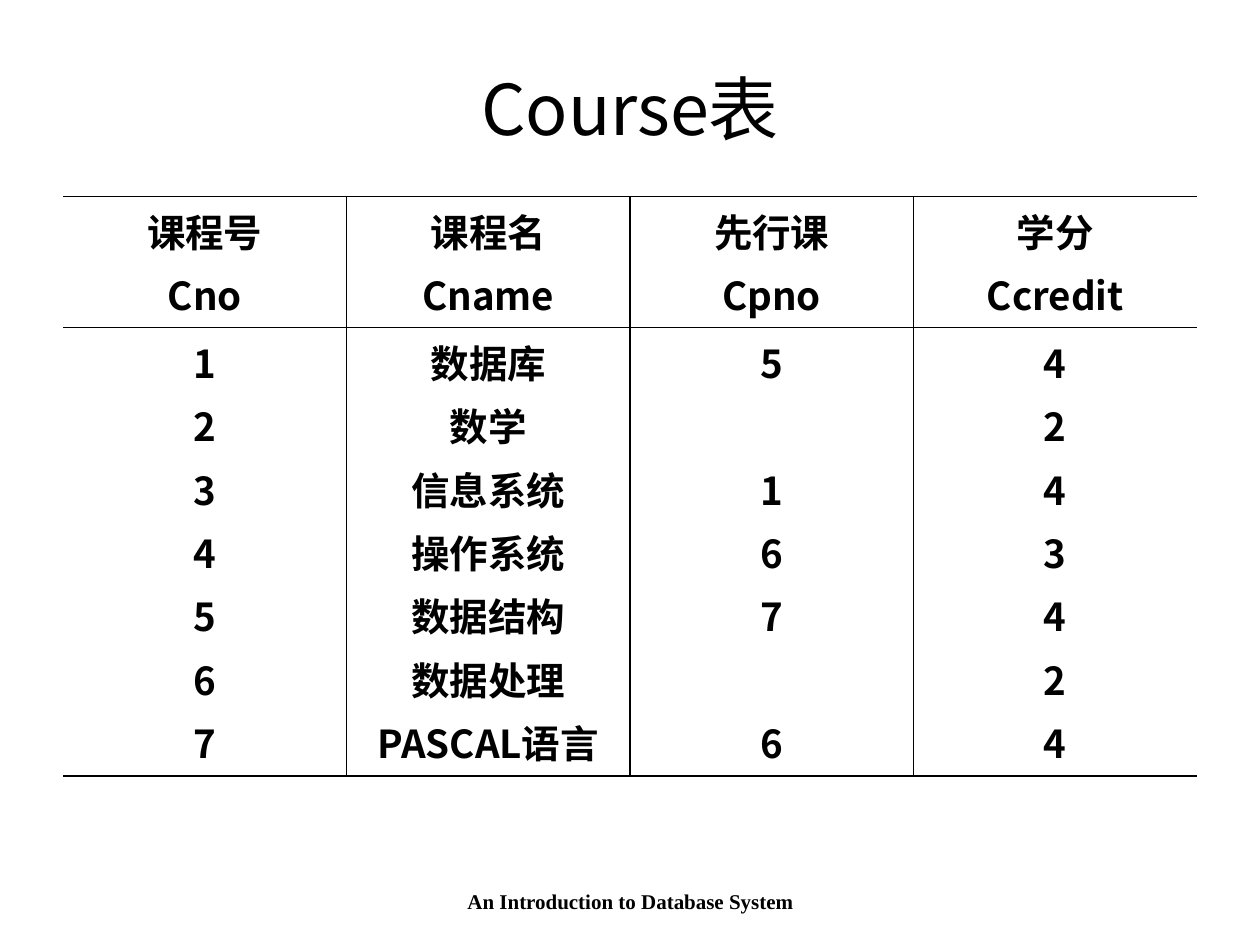
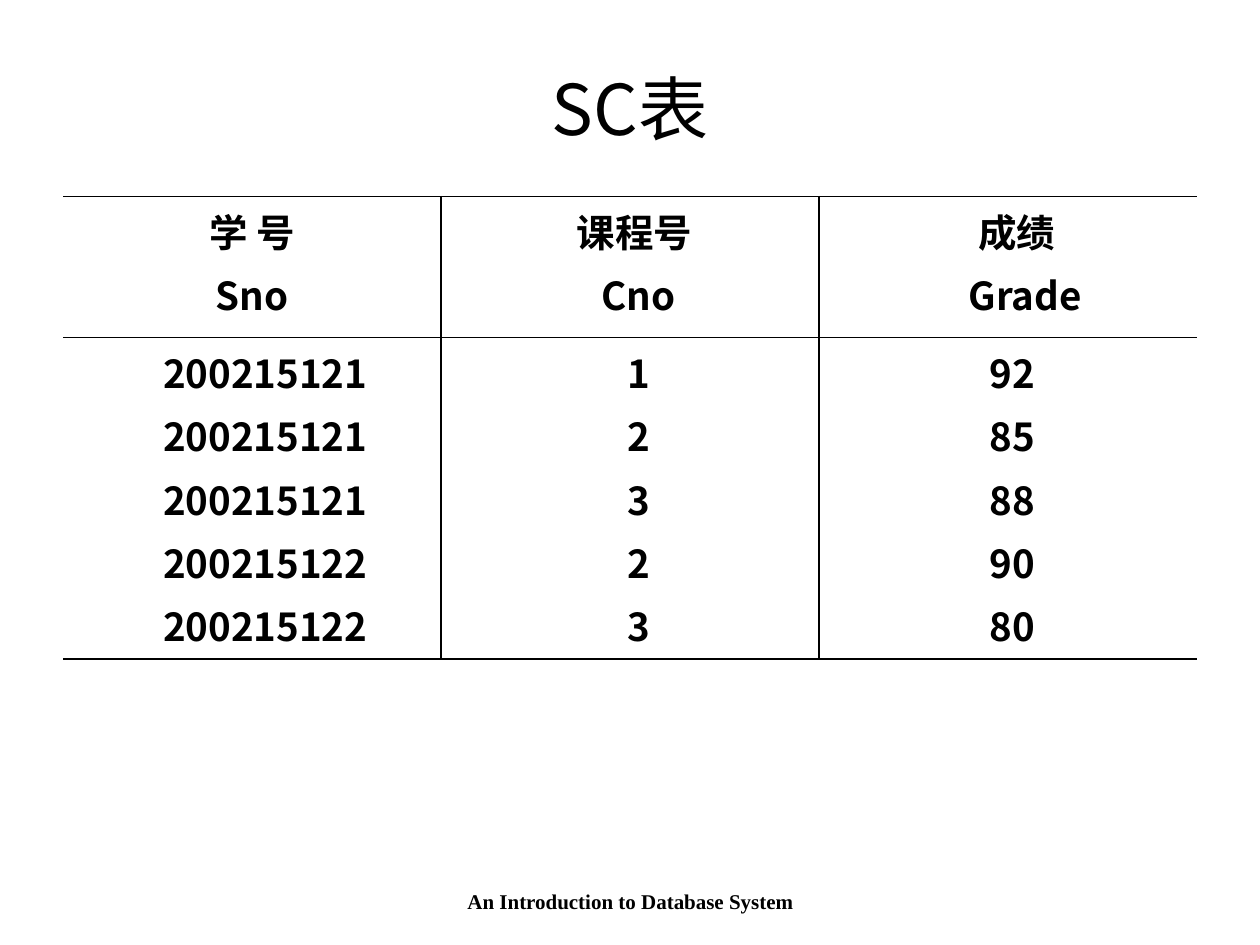
from lxml import etree
from pptx import Presentation
from pptx import util as u
from pptx.dml import color
from pptx.enum import text
from pptx.oxml import ns

COLORS = {"ink": "000000", "paper": "FFFFFF"}
TITLE_FONT, TABLE_FONT, FOOTER_FONT = "Noto Sans CJK JP", "Noto Sans CJK SC", "Times New Roman"
FOOTER = "An Introduction to Database System"
TABLE_SIZE = 22
PARAGRAPH_GAP = 4.4
LINE_PITCH = 36.25
BORDER_WIDTH = 1
NO_STYLE = "{2D5ABB26-0587-4C30-8999-92F81FD0307C}"

TABLES = [
    {
        "title": "Course表",
        "heads": [("课程号", "Cno"), ("课程名", "Cname"), ("先行课", "Cpno"), ("学分", "Ccredit")],
        "records": [
            ("1", "数据库", "5", "4"),
            ("2", "数学", None, "2"),
            ("3", "信息系统", "1", "4"),
            ("4", "操作系统", "6", "3"),
            ("5", "数据结构", "7", "4"),
            ("6", "数据处理", None, "2"),
            ("7", "PASCAL语言", "6", "4"),
        ],
        "row_heights": (1.04, 3.56),
        "head_indents": [(0, 0)] * 4,
        "record_indents": (0, 0, 0, 0),
    },
    {
        "title": "SC表",
        "heads": [("学 号", "Sno"), ("课程号", "Cno"), ("成绩", "Grade")],
        "records": [
            ("200215121", "1", "92"),
            ("200215121", "2", "85"),
            ("200215121", "3", "88"),
            ("200215122", "2", "90"),
            ("200215122", "3", "80"),
        ],
        "row_heights": (1.12, 2.55),
        "head_indents": [(0, 0), (0.07, 0.13), (0.14, 0.27)],
        "record_indents": (0.21, 0.14, 0.07),
    },
]


def write(para, words, *, size, font, bold=False, before=0, indent=0):
    para.alignment = text.PP_ALIGN.CENTER
    para.space_before = u.Pt(before)
    if indent:
        properties = para._p.get_or_add_pPr()
        properties.set("marL", str(u.Inches(indent)))
        properties.set("indent", "0")
    span = para.add_run()
    span.text = words
    span.font.size = u.Pt(size)
    span.font.bold = bold
    span.font.name = font
    span.font.color.rgb = color.RGBColor.from_string(COLORS["ink"])
    east_asian = etree.SubElement(span._r.get_or_add_rPr(), ns.qn("a:ea"))
    east_asian.set("typeface", font)


def add_label(page, words, left, top, width, height, **style):
    box = page.shapes.add_textbox(*map(u.Inches, (left, top, width, height)))
    frame = box.text_frame
    frame.word_wrap = True
    frame.vertical_anchor = text.MSO_ANCHOR.MIDDLE
    write(frame.paragraphs[0], words, **style)


def fill_cell(cell, values, indents):
    before, first = PARAGRAPH_GAP, True
    for words, indent in zip(values, indents):
        if words is None:
            before += LINE_PITCH
            continue
        para = cell.text_frame.paragraphs[0] if first else cell.text_frame.add_paragraph()
        write(para, words, size=TABLE_SIZE, font=TABLE_FONT, bold=True, before=before, indent=indent)
        before, first = PARAGRAPH_GAP, False


def draw_borders(cell, visible):
    cell.fill.background()
    properties = cell._tc.get_or_add_tcPr()
    for position, side in enumerate("LRTB"):
        line = etree.Element(ns.qn(f"a:ln{side}"), w=str(u.Pt(BORDER_WIDTH)))
        if side in visible:
            fill = etree.SubElement(line, ns.qn("a:solidFill"))
            etree.SubElement(fill, ns.qn("a:srgbClr"), val=COLORS["ink"])
        else:
            etree.SubElement(line, ns.qn("a:noFill"))
        properties.insert(position, line)


def add_records(page, content):
    heads, heights = content["heads"], content["row_heights"]
    count = len(heads)
    area = map(u.Inches, (0.5, 1.56, 9, sum(heights)))
    frame = page.shapes.add_table(len(heights), count, *area)
    table = frame.table
    table.first_row = table.horz_banding = False
    table._tbl.tblPr.find(ns.qn("a:tableStyleId")).text = NO_STYLE
    for row, height in zip(table.rows, heights):
        row.height = u.Inches(height)
    columns = list(zip(*content["records"]))
    for index in range(count):
        table.columns[index].width = u.Inches(9 / count)
        visible = "TB" + ("L" if index else "") + ("R" if index < count - 1 else "")
        body_indents = [content["record_indents"][index]] * len(columns[index])
        parts = [(heads[index], content["head_indents"][index]), (columns[index], body_indents)]
        for row, (values, indents) in enumerate(parts):
            cell = table.cell(row, index)
            fill_cell(cell, values, indents)
            draw_borders(cell, visible)


def add_page(deck, content):
    page = deck.slides.add_slide(deck.slide_layouts[6])
    page.background.fill.solid()
    page.background.fill.fore_color.rgb = color.RGBColor.from_string(COLORS["paper"])
    add_label(page, content["title"], 0.5, 0.3, 9, 1.11, size=40, font=TITLE_FONT)
    add_records(page, content)
    add_label(page, FOOTER, 3.42, 6.95, 3.17, 0.4, size=12, font=FOOTER_FONT, bold=True)


def main():
    deck = Presentation()
    deck.slide_width, deck.slide_height = u.Inches(10), u.Inches(7.5)
    for content in TABLES:
        add_page(deck, content)
    deck.save("out.pptx")


if __name__ == "__main__":
    main()
